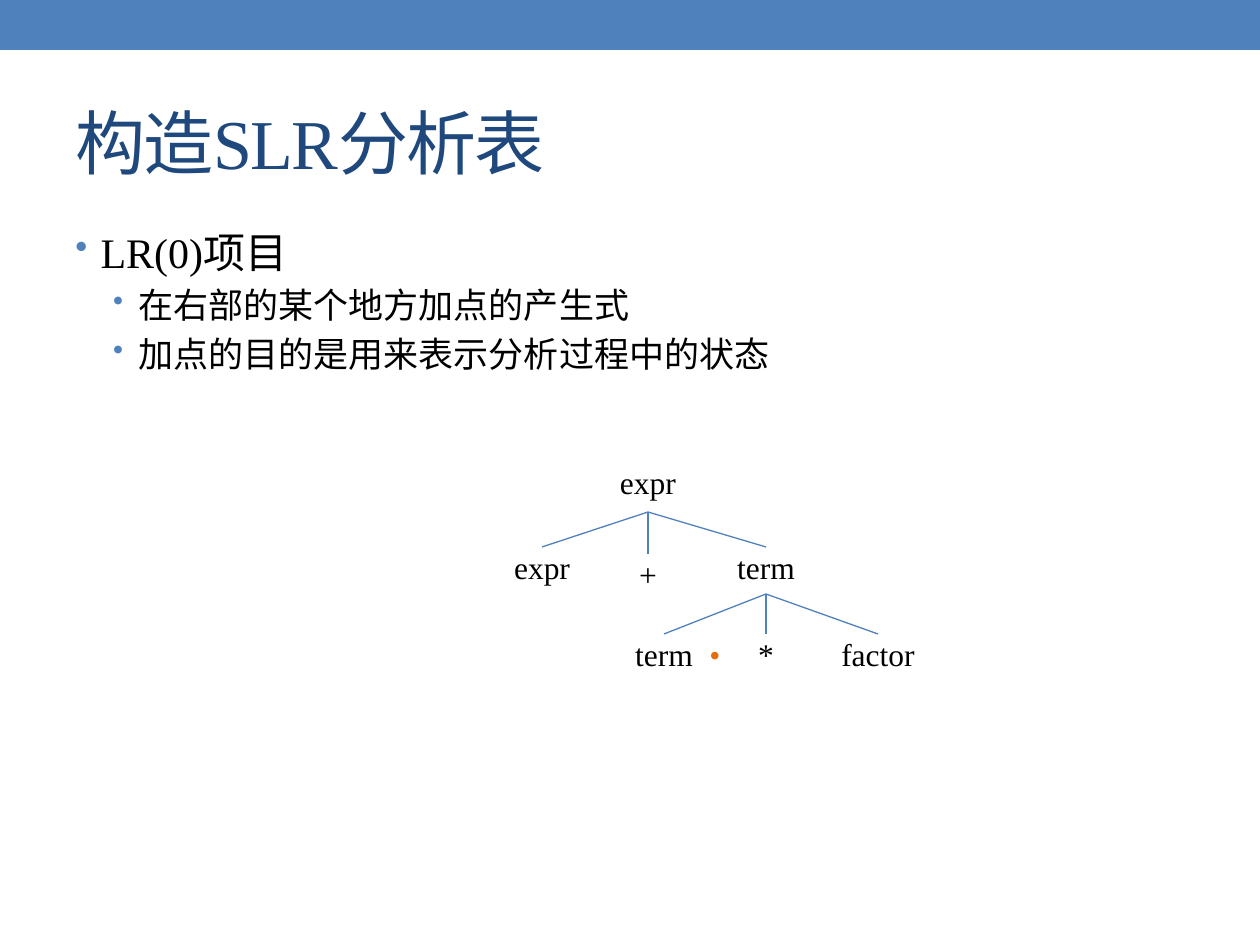
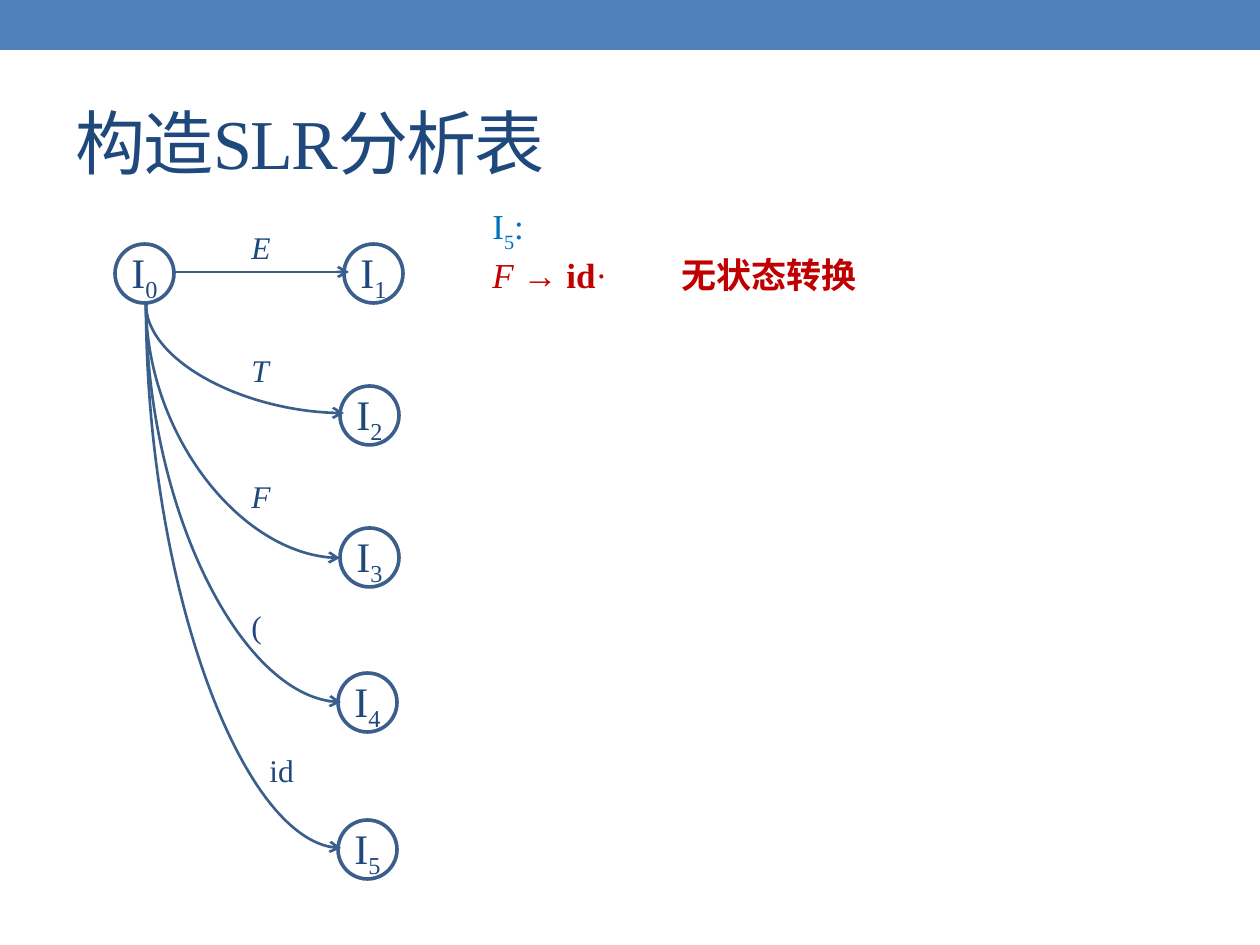
from lxml import etree
from pptx import Presentation, util as u
from pptx.dml.color import RGBColor
from pptx.enum import shapes, text
from pptx.oxml import ns

# Shared look
BLUE = RGBColor(0x4F, 0x81, 0xBD)
NAVY = RGBColor(0x1F, 0x49, 0x7D)
STEEL = RGBColor(0x3A, 0x5F, 0x8C)
SKY = RGBColor(0x00, 0x70, 0xC0)
RED = RGBColor(0xC0, 0x00, 0x00)
ORANGE = RGBColor(0xE4, 0x6C, 0x0A)
BLACK = RGBColor(0, 0, 0)
FONT = "Times New Roman"
TITLE = "构造SLR分析表"
PIXELS_PER_INCH = 126
WIDTH, HEIGHT = 1260, 945


def px(length):
    return u.Emu(round(length * 914400 / PIXELS_PER_INCH))


def sub(parent, tag, **attributes):
    return etree.SubElement(parent, ns.qn(tag), attributes)


# Text
def add_span(para, words, size, color, italic=False, bold=False, base=0, spacing=0):
    span = para.add_run()
    span.text = words
    font = span.font
    font.name, font.size, font.color.rgb = FONT, u.Pt(size), color
    font.italic, font.bold = italic, bold
    properties = span._r.get_or_add_rPr()
    if base:
        properties.set("baseline", str(base * 1000))
    if spacing:
        properties.set("spc", str(spacing * 100))


def add_box(page, left, top, width, height, inset=None):
    box = page.shapes.add_textbox(px(left), px(top), px(width), px(height))
    frame = box.text_frame
    frame.word_wrap = True
    if inset is not None:
        frame.margin_left = frame.margin_right = px(2 * inset)
        frame.margin_top = frame.margin_bottom = px(inset)
    return frame


def add_bullet(para, level):
    para.level = level
    properties = para._p.get_or_add_pPr()
    properties.set("marL", str(u.Inches(0.2 + 0.3 * level)))
    properties.set("indent", str(u.Inches(-0.2)))
    sub(sub(properties, "a:buClr"), "a:srgbClr", val=str(BLUE))
    sub(properties, "a:buSzPct", val="85000")
    sub(properties, "a:buChar", char="•")


# Lines
def add_line(page, start, end, color, width, kind=shapes.MSO_CONNECTOR.STRAIGHT):
    line = page.shapes.add_connector(kind, *map(px, start + end))
    line.line.color.rgb = color
    line.line.width = u.Pt(width)
    sub(line._element.spPr, "a:effectLst")
    return line


def add_arc(page, start, end):
    """Quarter curve with an arrowhead; a descending one leaves downwards."""
    (x1, y1), (x2, y2) = start, end
    descending = y2 > y1
    if descending:
        # Ends of the curve before its quarter turn about the centre
        mid_x, mid_y = (x1 + x2) / 2, (y1 + y2) / 2
        half_x, half_y = (x2 - x1) / 2, (y2 - y1) / 2
        start = (mid_x - half_y, mid_y + half_x)
        end = (mid_x + half_y, mid_y - half_x)
    arc = add_line(page, start, end, STEEL, 1.5, shapes.MSO_CONNECTOR.CURVE)
    properties = arc._element.spPr
    properties.find(ns.qn("a:prstGeom")).set("prst", "curvedConnector2")
    if descending:
        properties.find(ns.qn("a:xfrm")).set("rot", "5400000")
    sub(properties.find(ns.qn("a:ln")), "a:tailEnd", type="arrow")


# Page with band and title
def add_page(deck):
    page = deck.slides.add_slide(deck.slide_layouts[6])
    band = page.shapes.add_shape(shapes.MSO_SHAPE.RECTANGLE, 0, 0, px(WIDTH), px(50))
    band.shadow.inherit = False
    band.fill.solid()
    band.fill.fore_color.rgb = BLUE
    band.line.fill.background()
    frame = add_box(page, 63, 73, 1134, 136)
    frame.vertical_anchor = text.MSO_ANCHOR.MIDDLE
    add_span(frame.paragraphs[0], TITLE, 40, NAVY, spacing=-1)
    return page


# Slide 1: bullets and parse tree
def add_bullets(page, items):
    frame = add_box(page, 63, 220, 1134, 672)
    for number, (level, words) in enumerate(items):
        para = frame.add_paragraph() if number else frame.paragraphs[0]
        size = 24 - 4 * level
        para.space_before = u.Pt(size * 0.2)
        add_bullet(para, level)
        add_span(para, words, size, BLACK)


def add_symbol(page, words, center, top, width, height, color=BLACK):
    frame = add_box(page, center - width // 2, top, width, height, inset=1)
    para = frame.paragraphs[0]
    para.alignment = text.PP_ALIGN.CENTER
    add_span(para, words, 18, color)


def add_tree(page):
    word, sign = (82, 47), (48, 30)
    root = ("expr", 648, 462, 88, 50)
    term = ("term", 766, 547, *word)
    branches = [
        (root, [("expr", 542, 547, *word), ("+", 648, 554, *sign), term]),
        (term, [("term", 664, 634, *word), ("*", 766, 634, *sign),
                ("factor", 878, 634, *word)]),
    ]
    add_symbol(page, *root)
    for (_, center, top, _, height), children in branches:
        for child in children:
            add_symbol(page, *child)
            add_line(page, (center, top + height), child[1:3], BLUE, 0.75)
    add_symbol(page, "•", 715, 634, 50, 38, ORANGE)


# Slide 2: state diagram
def add_state(page, number, left, top):
    circle = page.shapes.add_shape(shapes.MSO_SHAPE.OVAL, px(left), px(top), px(59), px(59))
    circle.shadow.inherit = False
    circle.fill.background()
    circle.line.color.rgb = STEEL
    circle.line.width = u.Pt(2.08)
    para = add_box(page, left + 4, top - 4, 55, 63).paragraphs[0]
    add_span(para, "I", 24, NAVY)
    add_span(para, str(number), 24, NAVY, base=-25)


def add_states(page):
    states = [(115, 244), (344, 244), (340, 386), (340, 528), (338, 673), (338, 820)]
    for number, place in enumerate(states):
        add_state(page, number, *place)
    add_arc(page, (174, 272), (349, 272))
    for end in [(344, 413), (340, 558), (341, 702), (341, 848)]:
        add_arc(page, (146, 304), end)
    labels = [("E", 239, 222), ("T", 239, 345), ("F", 239, 471), ("(", 239, 601),
              ("id", 257, 745)]
    for words, left, top in labels:
        para = add_box(page, left, top, 18 + 25 * len(words), 50).paragraphs[0]
        add_span(para, words, 18, NAVY, italic=words.isupper())


def add_item_set(page):
    frame = add_box(page, 480, 198, 505, 97)
    heading, item = frame.paragraphs[0], frame.add_paragraph()
    add_span(heading, "I", 20, SKY)
    add_span(heading, "5", 20, SKY, base=-30)
    add_span(heading, ":", 20, SKY)
    add_span(item, "F ", 20, RED, italic=True)
    add_span(item, "→ ", 20, RED)
    add_span(item, "id", 20, RED, bold=True)
    add_span(item, "·\t\t", 20, RED)
    add_span(item, "无状态转换", 20, RED, bold=True)


def main():
    deck = Presentation()
    deck.slide_width, deck.slide_height = px(WIDTH), px(HEIGHT)

    page = add_page(deck)
    add_bullets(page, [(0, "LR(0)项目"),
                       (1, "在右部的某个地方加点的产生式"),
                       (1, "加点的目的是用来表示分析过程中的状态")])
    add_tree(page)

    page = add_page(deck)
    add_states(page)
    add_item_set(page)

    deck.save("out.pptx")


main()
